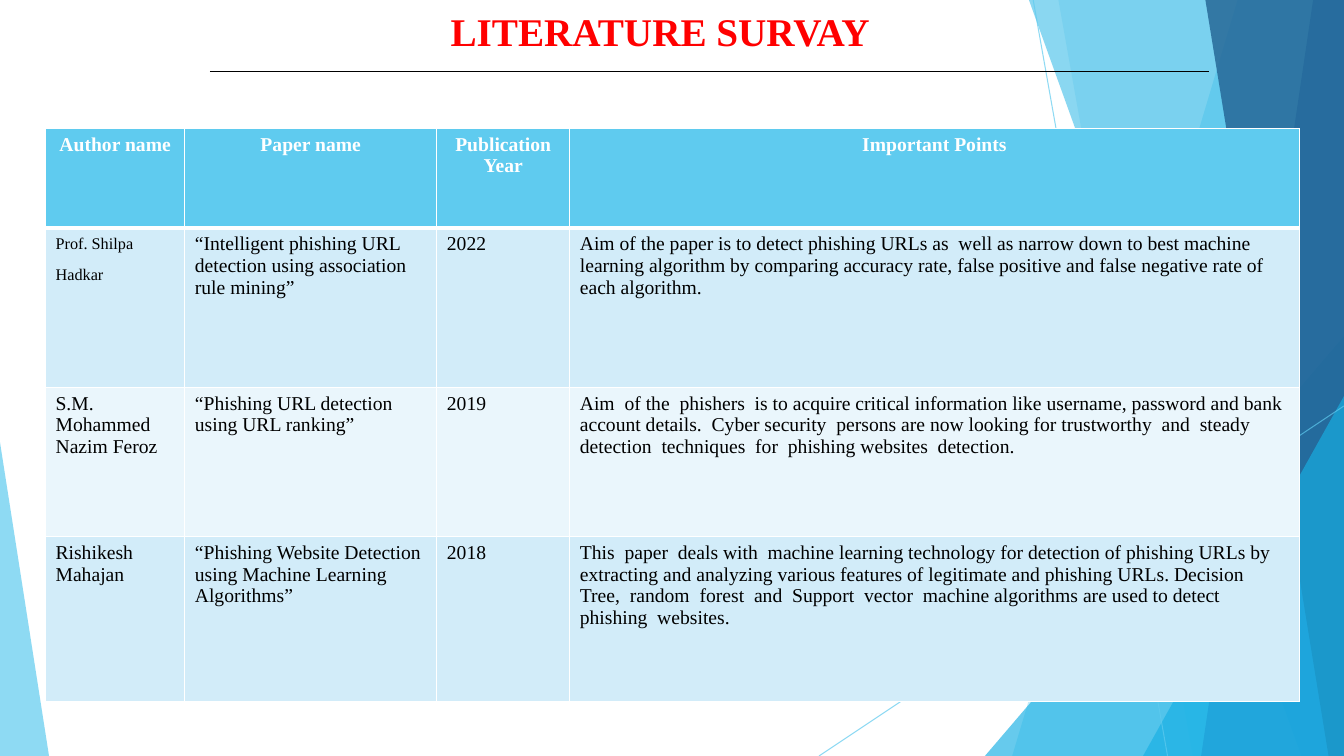
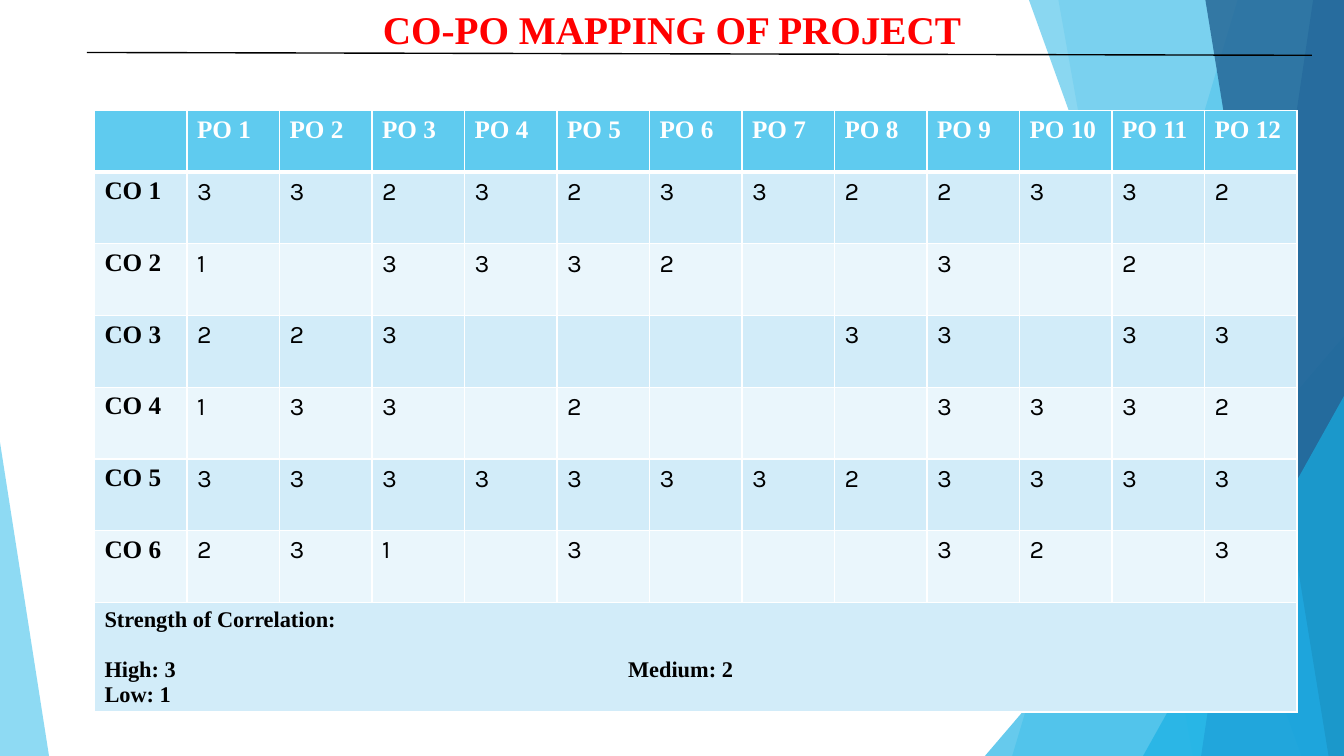
from lxml.etree import SubElement
from pptx import Presentation
from pptx.dml.color import RGBColor
from pptx.enum.shapes import MSO_CONNECTOR, MSO_SHAPE
from pptx.enum.text import MSO_ANCHOR, MSO_AUTO_SIZE, PP_ALIGN
from pptx.oxml.ns import qn
from pptx.util import Pt

WIDTH, HEIGHT = 960, 540
WHITE, BLACK, RED = "FFFFFF", "000000", "FF0000"
SKY, CYAN, BLUE, NAVY = "5FCBEF", "17B0E4", "2E83C3", "226292"
STRIPES = ("EAF6FC", "D2ECF9")
SERIF, SANS = "Times New Roman", "Karla"

# Text formats
TITLE = {"name": SERIF, "size": 28, "bold": True, "color": RED}
HEAD = {"name": SERIF, "size": 14, "bold": True, "color": WHITE}
BODY = {**HEAD, "bold": False, "color": BLACK}
RAISED = {**BODY, "size": 20}
PO_HEAD = {**HEAD, "size": 18}
CO_HEAD = {**PO_HEAD, "color": BLACK}
SCORE = {**CO_HEAD, "name": SANS, "bold": False}
LEGEND = {**CO_HEAD, "size": 16}

# Backdrop, back to front: bands run to the right edge from a top x to a bottom x
BACKDROP = [
    ("band", (884, 723), SKY, 36),
    ("band", (756, 852), SKY, 20),
    ("triangle", (703.5, 240, 256.5, 300, 1), CYAN, 66),
    ("band", (735, 929.5), CYAN, 50),
    ("band", (938, 858), BLUE, 70),
    ("band", (861, 949), NAVY, 80),
    ("triangle", (816.5, 283, 143.5, 257, 1), CYAN, 66),
    ("triangle", (0, 316, 35, 224, 0), SKY, 70),
]

PAPERS = [
    ("Author name", "Paper name", "Publication Year", "Important Points"),
    ("Prof. Shilpa Hadkar",
     "“Intelligent phishing URL detection using association rule mining”",
     "2022",
     "Aim of the paper is to detect phishing URLs as  well as narrow down to best "
     "machine learning algorithm by comparing accuracy rate, false positive and "
     "false negative rate of each algorithm."),
    ("S.M. Mohammed Nazim Feroz",
     "“Phishing URL detection using URL ranking”",
     "2019",
     "Aim  of the  phishers  is to acquire critical information like username, "
     "password and bank account details.  Cyber security  persons are now looking "
     "for trustworthy  and  steady  detection  techniques  for  phishing websites  "
     "detection."),
    ("Rishikesh Mahajan",
     "“Phishing Website Detection using Machine Learning Algorithms”",
     "2018",
     "This  paper  deals with  machine learning technology for detection of phishing "
     "URLs by extracting and analyzing various features of legitimate and phishing "
     "URLs. Decision  Tree,  random  forest  and  Support  vector  machine algorithms "
     "are used to detect phishing  websites."),
]

# One row per course outcome, one mark per programme outcome; "-" is no mark
SCORES = ["332323322332", "1-3332--3-2-", "223----33-33",
          "133-2---3332", "333333323333", "231-3---32-3"]


def rgb(value):
    return RGBColor.from_string(value)


class Deck:
    """Holds the presentation, its style and the current slide."""

    def __init__(self):
        self.deck = Presentation()
        self.deck.slide_width, self.deck.slide_height = Pt(WIDTH), Pt(HEIGHT)
        self.layout = self.deck.slide_layouts[5]
        self.page = None

    def new_page(self, title, left, top, width, height):
        first = self.page is None
        self.page = self.deck.slides.add_slide(self.layout)
        if first:
            self.backdrop()
        box = self.page.shapes.title
        box.left, box.top, box.width, box.height = map(Pt, (left, top, width, height))
        frame = box.text_frame
        settings = {"word_wrap": True, "auto_size": MSO_AUTO_SIZE.NONE,
                    "vertical_anchor": MSO_ANCHOR.TOP}
        for name, value in settings.items():
            setattr(frame, name, value)
        self.add_text(frame.paragraphs[0], title, TITLE, PP_ALIGN.CENTER)

    # Text
    def add_text(self, para, text, style, align=PP_ALIGN.LEFT):
        para.alignment = align
        span = para.add_run()
        span.text = text
        for name, value in style.items():
            if name == "color":
                span.font.color.rgb = rgb(value)
            else:
                setattr(span.font, name, Pt(value) if name == "size" else value)
        return span

    # Lines and shapes
    def line(self, start, end, color, weight, shapes=None):
        shapes = shapes or self.page.shapes
        rule = shapes.add_connector(MSO_CONNECTOR.STRAIGHT, *map(Pt, (*start, *end)))
        rule.line.color.rgb = rgb(color)
        rule.line.width = Pt(weight)
        SubElement(rule.element.spPr, qn("a:effectLst"))
        return rule

    def band(self, shapes, top_x, bottom_x):
        builder = shapes.build_freeform(Pt(top_x), 0)
        corners = [(WIDTH, 0), (WIDTH, HEIGHT), (bottom_x, HEIGHT)]
        builder.add_line_segments([(Pt(x), Pt(y)) for x, y in corners])
        return builder.convert_to_shape()

    def triangle(self, shapes, left, top, width, height, apex):
        shape = shapes.add_shape(MSO_SHAPE.ISOSCELES_TRIANGLE,
                                 *map(Pt, (left, top, width, height)))
        shape.adjustments[0] = apex
        return shape

    def fade(self, shape, percent):
        for color in shape.element.spPr.iter(qn("a:srgbClr")):
            SubElement(color, qn("a:alpha"), val=str(percent * 1000))

    def backdrop(self):
        """Draw the facets once and move them into the shared layout."""
        group = self.page.shapes.add_group_shape()
        for start, end in [((738, 0), (834, 540)), ((960, 290), (585, 540))]:
            # An empty group is falsy, so its shapes are passed through directly
            self.fade(self.line(start, end, SKY, 0.75, group.shapes), 70)
        for kind, geometry, color, opacity in BACKDROP:
            draw = self.band if kind == "band" else self.triangle
            shape = draw(group.shapes, *geometry)
            shape.shadow.inherit = False
            shape.fill.solid()
            shape.fill.fore_color.rgb = rgb(color)
            shape.line.fill.background()
            self.fade(shape, opacity)
        for number, item in enumerate(group.element.iter(qn("p:cNvPr")), 100):
            item.set("id", str(number))
        self.layout.shapes.element.insert(2, group.element)

    # Tables
    def borders(self, cell, row):
        weights = {"L": 1, "R": 1, "T": 3 if row == 1 else 1, "B": 3 if row == 0 else 1}
        properties = cell._tc.get_or_add_tcPr()
        for side, weight in weights.items():
            edge = SubElement(properties, qn(f"a:ln{side}"), w=str(Pt(weight)))
            SubElement(SubElement(edge, qn("a:solidFill")), qn("a:srgbClr"), val=WHITE)

    def table(self, left, top, widths, heights):
        frame = self.page.shapes.add_table(
            len(heights), len(widths),
            *map(Pt, (left, top, sum(widths), sum(heights))))
        table = frame.table
        table.horz_banding = False
        for column, width in zip(table.columns, widths):
            column.width = Pt(width)
        for number, (row, height) in enumerate(zip(table.rows, heights)):
            row.height = Pt(height)
            for cell in row.cells:
                self.borders(cell, number)
                cell.fill.solid()
                cell.fill.fore_color.rgb = rgb(STRIPES[number % 2] if number else SKY)
        return table

    def fill_row(self, table, row, texts, styles, align=PP_ALIGN.LEFT):
        for column, (text, style) in enumerate(zip(texts, styles)):
            if text:
                para = table.cell(row, column).text_frame.paragraphs[0]
                span = self.add_text(para, text, style, align)
                if style is RAISED:
                    span.font._element.set("baseline", "30000")


def survey_page(deck):
    deck.new_page("LITERATURE SURVAY", 57.5, 1.5, 828, 81)
    table = deck.table(32.5, 92, [99.5, 180, 95, 521], [71, 114, 106.5, 117.5])
    deck.fill_row(table, 0, PAPERS[0], [HEAD] * 4, PP_ALIGN.CENTER)
    for row, paper in enumerate(PAPERS[1:], 1):
        first = RAISED if row == 1 else BODY
        deck.fill_row(table, row, paper, [first] + [BODY] * 3)
    deck.line((150, 51), (863.5, 51), BLACK, 1)


def mapping_page(deck):
    deck.new_page("CO-PO MAPPING OF PROJECT", 0, 0, WIDTH, 79)
    table = deck.table(67.5, 79, [66.08] * 13, [44] + [51.25] * 6 + [75])
    deck.fill_row(table, 0, [""] + [f"PO {n}" for n in range(1, 13)], [PO_HEAD] * 13)
    for row, marks in enumerate(SCORES, 1):
        texts = [f"CO {row}"] + [mark.strip("-") for mark in marks]
        deck.fill_row(table, row, texts, [CO_HEAD] + [SCORE] * 12)

    # Legend across the last row
    legend = table.cell(7, 0)
    legend.merge(table.cell(7, 12))
    frame = legend.text_frame
    deck.add_text(frame.paragraphs[0], "Strength of Correlation:", LEGEND)
    levels = frame.add_paragraph()
    tabs = SubElement(levels._p.get_or_add_pPr(), qn("a:tabLst"))
    SubElement(tabs, qn("a:tab"), pos=str(Pt(374)), algn="l")
    levels.space_before = Pt(17.7)
    deck.add_text(levels, "High: 3\tMedium: 2", LEGEND)
    deck.add_text(frame.add_paragraph(), "Low: 1", LEGEND)
    deck.line((62, 37.5), (937, 39.5), BLACK, 1)


def main():
    deck = Deck()
    survey_page(deck)
    mapping_page(deck)
    deck.deck.save("out.pptx")


if __name__ == "__main__":
    main()
